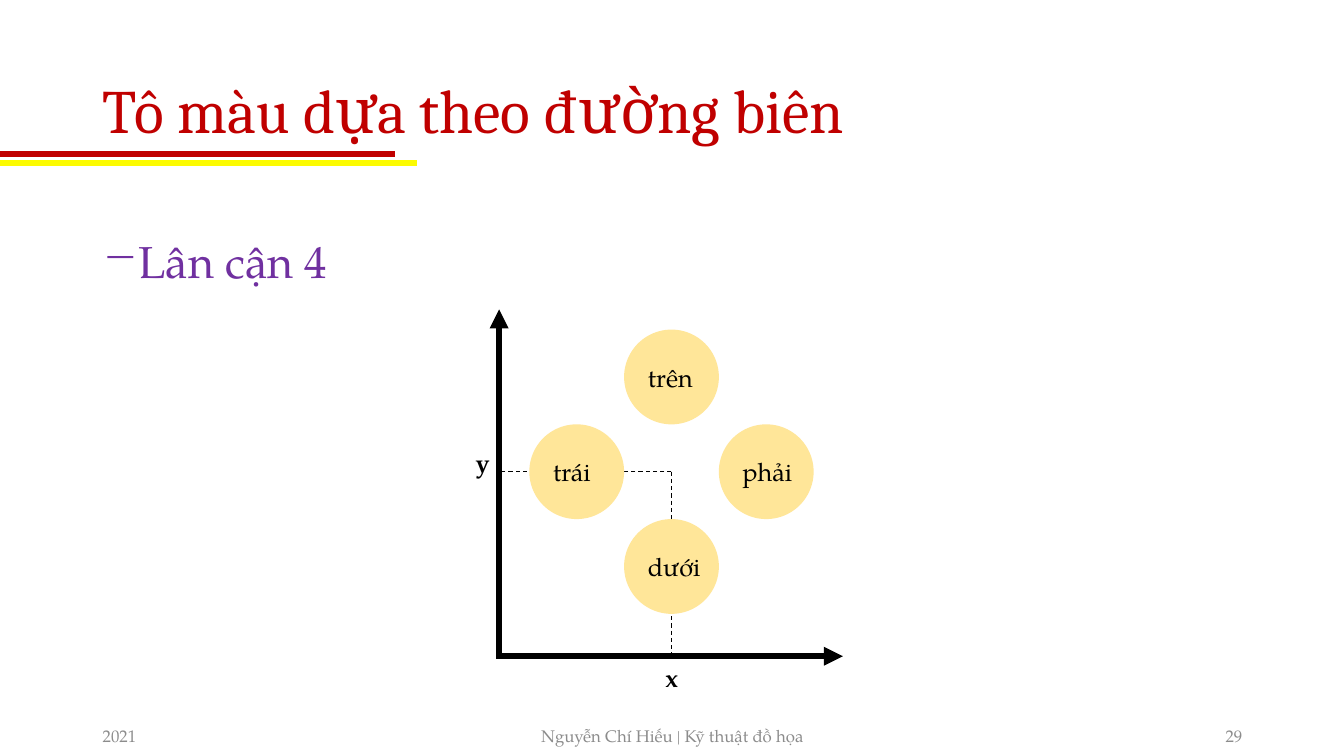
from lxml import etree
from pptx import Presentation
from pptx import util as u
from pptx.dml.color import RGBColor
from pptx.enum import dml, shapes, text
from pptx.oxml.ns import qn

TITLE = "Tô màu dựa theo đường biên"
BULLET = "Lân cận 4"
FOOTERS = [  # text, left, width, alignment
    ("2021", 0.92, 3, "LEFT"),
    ("Nguyễn Chí Hiếu | Kỹ thuật đồ họa", 4.42, 4.5, "CENTER"),
    ("29", 9.42, 3, "RIGHT"),
]
NEIGHBOURS = [  # text, column and row offset from the pixel (x, y)
    ("phải", 1, 0), ("trái", -1, 0), ("dưới", 0, 1), ("trên", 0, -1),
]
COLORS = {"title": "C00000", "stripe": "FCFB01", "bullet": "7030A0",
          "footer": "8C8C8C", "circle": "FFE699", "ink": "000000"}
HEAD, BODY = "Cambria", "TeX Gyre Pagella"

MARGIN, CONTENT_W = 0.92, 11.5
CENTER_X, CENTER_Y, CELL = 6.66, 4.68, 0.94
AXIS_X, AXIS_Y = 4.95, 6.51
AXIS_LEN = 3.44
AXIS_OVERLAP = 0.03  # half the axis width, closes the corner

prs = Presentation()
prs.slide_width, prs.slide_height = u.Inches(13.33), u.Inches(7.5)
s = prs.slides.add_slide(prs.slide_layouts[5])


def rgb(name):
    return RGBColor.from_string(COLORS[name])


def inches(*values):
    return [u.Inches(v) for v in values]


def write(tf, content, size, color, font=BODY, align="LEFT", anchor="MIDDLE",
          wrap=True, bold=False):
    tf.word_wrap = wrap
    tf.vertical_anchor = getattr(text.MSO_ANCHOR, anchor)
    p = tf.paragraphs[0]
    p.text = content
    p.alignment = getattr(text.PP_ALIGN, align)
    p.font.size, p.font.name, p.font.bold = u.Pt(size), font, bold
    p.font.color.rgb = rgb(color)
    return p


def label(box, *args, **kwargs):
    tf = s.shapes.add_textbox(*inches(*box)).text_frame
    return write(tf, *args, **kwargs)


def line(start, end, color, width, dashed=False, arrow=False):
    c = s.shapes.add_connector(shapes.MSO_CONNECTOR.STRAIGHT,
                               *inches(*start, *end))
    c.line.color.rgb = rgb(color)
    c.line.width = u.Pt(width)
    if dashed:
        c.line.dash_style = dml.MSO_LINE.DASH
    if arrow:
        etree.SubElement(c.line._get_or_add_ln(), qn("a:tailEnd"),
                         type="triangle")
    etree.SubElement(c._element.spPr, qn("a:effectLst"))


# Title with its two stripes
line((0, 1.62), (4.14, 1.62), "stripe", 4.25)
line((0, 1.53), (3.92, 1.53), "title", 4.25)
title = s.shapes.title
title.left, title.top, title.width, title.height = inches(
    MARGIN, 0.4, CONTENT_W, 1.45)
title.text_frame.auto_size = text.MSO_AUTO_SIZE.NONE
write(title.text_frame, TITLE, 44, "title", HEAD).line_spacing = 0.9

# Bullet
p = label((MARGIN, 2, CONTENT_W, 5.1), BULLET, 32, "bullet", anchor="TOP")
p.line_spacing, p.space_after = 1.5, u.Pt(2)
pPr = p._p.get_or_add_pPr()
pPr.set("marL", str(u.Inches(0.25)))
pPr.set("indent", str(u.Inches(-0.25)))
bullet_color = etree.Element(qn("a:buClr"))
etree.SubElement(bullet_color, qn("a:srgbClr"), val=COLORS["bullet"])
bullet_char = etree.Element(qn("a:buChar"), char="−")
defaults = pPr.find(qn("a:defRPr"))
defaults.addprevious(bullet_color)
defaults.addprevious(bullet_char)

for content, left, width, align in FOOTERS:
    label((left, 7.1, width, 0.4), content, 12, "footer", align=align)

# Neighbourhood diagram
pixel = (CENTER_X, CENTER_Y)
for foot in ((CENTER_X, AXIS_Y), (AXIS_X, CENTER_Y)):
    line(pixel, foot, "ink", 0.75, dashed=True)
line((AXIS_X - AXIS_OVERLAP, AXIS_Y),
     (AXIS_X - AXIS_OVERLAP + AXIS_LEN, AXIS_Y), "ink", 4.5, arrow=True)
for content, col, row in NEIGHBOURS:
    circle = s.shapes.add_shape(
        shapes.MSO_SHAPE.OVAL,
        *inches(CENTER_X + (col - 0.5) * CELL, CENTER_Y + (row - 0.5) * CELL,
                CELL, CELL))
    circle.shadow.inherit = False
    circle.fill.solid()
    circle.fill.fore_color.rgb = rgb("circle")
    circle.line.fill.background()
    write(circle.text_frame, content, 18, "ink", wrap=False)
line((AXIS_X, AXIS_Y), (AXIS_X, AXIS_Y - AXIS_LEN), "ink", 4.5, arrow=True)
for name, left, top in (("x", 6.5, 6.52), ("y", 4.62, 4.39)):
    label((left, top, 0.34, 0.4), name, 18, "ink", anchor="TOP",
          wrap=False, bold=True)

prs.save("out.pptx")
